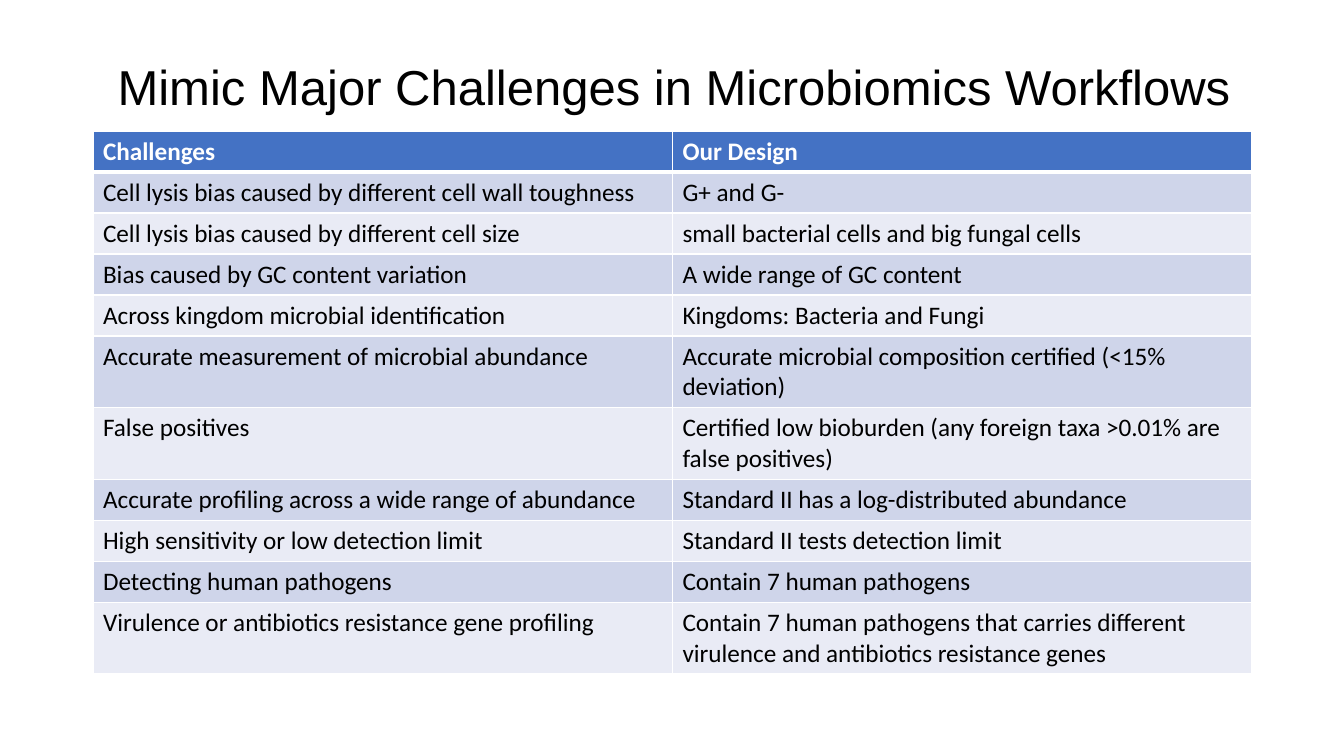
import pptx
import pptx.dml.color
import pptx.enum.text
import pptx.oxml
import pptx.oxml.ns
import pptx.util

PX = 914400 / 100.8
WHITE, BLACK, BLUE = "FFFFFF", "000000", "4472C4"
BANDS = ("CFD5EA", "E9EBF5")
TITLE = "Mimic Major Challenges in Microbiomics Workflows"
HEADINGS = ("Challenges", "Our Design")
DESIGN = [
    ("Cell lysis bias caused by different cell wall toughness", "G+ and G-"),
    ("Cell lysis bias caused by different cell size", "small bacterial cells and big fungal cells"),
    ("Bias caused by GC content variation", "A wide range of GC content"),
    ("Across kingdom microbial identification", "Kingdoms: Bacteria and Fungi"),
    ("Accurate measurement of microbial abundance",
     "Accurate microbial composition certified (<15% deviation)"),
    ("False positives", "Certified low bioburden (any foreign taxa >0.01% are false positives)"),
    ("Accurate profiling across a wide range of abundance",
     "Standard II has a log-distributed abundance"),
    ("High sensitivity or low detection limit", "Standard II tests detection limit"),
    ("Detecting human pathogens", "Contain 7 human pathogens"),
    ("Virulence or antibiotics resistance gene profiling",
     "Contain 7 human pathogens that carries different virulence and antibiotics resistance genes"),
]


def px(length):
    """Turn pixels into EMU."""
    return pptx.util.Emu(round(length * PX))


def color(code):
    """Turn a hex string into a colour."""
    return pptx.dml.color.RGBColor.from_string(code)


def write(frame, text, size=18, font="Calibri", fill=BLACK, bold=False, align="LEFT", spacing=1.0):
    """Put one formatted paragraph into a text frame."""
    para = frame.paragraphs[0]
    para.alignment = getattr(pptx.enum.text.PP_ALIGN, align)
    para.line_spacing = spacing
    span = para.add_run()
    span.text = text
    span.font.size = pptx.util.Pt(size)
    span.font.name = font
    span.font.bold = bold
    span.font.color.rgb = color(fill)


def add_title(slide, text):
    """Place and fill the title placeholder."""
    title = slide.shapes.title
    title.left, title.top, title.width, title.height = map(px, (95, 58, 1159, 146))
    frame = title.text_frame
    frame.word_wrap = True
    frame.auto_size = pptx.enum.text.MSO_AUTO_SIZE.NONE
    frame.vertical_anchor = pptx.enum.text.MSO_ANCHOR.TOP
    write(frame, text, size=35, font="Arial", align="CENTER", spacing=0.9)


def add_borders(cell, top, bottom):
    """Draw white borders around a cell, with top and bottom widths in points."""
    properties = cell._tc.get_or_add_tcPr()
    widths = {"lnL": 1, "lnR": 1, "lnT": top, "lnB": bottom}
    for place, (side, width) in enumerate(widths.items()):
        properties.insert(place, pptx.oxml.parse_xml(
            f'<a:{side} {pptx.oxml.ns.nsdecls("a")} w="{pptx.util.Pt(width)}">'
            f'<a:solidFill><a:srgbClr val="{WHITE}"/></a:solidFill></a:{side}>'))


def add_design_table(slide, rows):
    """Add the banded table with its heading row."""
    table = slide.shapes.add_table(
        len(rows), len(rows[0]), px(93), px(131), px(1159), px(41 * len(rows))).table
    for r, texts in enumerate(rows):
        heading = r == 0
        for c, text in enumerate(texts):
            cell = table.cell(r, c)
            cell.fill.solid()
            cell.fill.fore_color.rgb = color(BLUE if heading else BANDS[(r - 1) % 2])
            add_borders(cell, top=3 if r == 1 else 1, bottom=3 if heading else 1)
            write(cell.text_frame, text, fill=WHITE if heading else BLACK, bold=heading)


def main():
    """Build and save the slide."""
    deck = pptx.Presentation()
    deck.slide_width, deck.slide_height = px(1344), px(756)
    slide = deck.slides.add_slide(deck.slide_layouts.get_by_name("Title Only"))
    add_title(slide, TITLE)
    add_design_table(slide, [HEADINGS] + DESIGN)
    deck.save("out.pptx")


if __name__ == "__main__":
    main()
